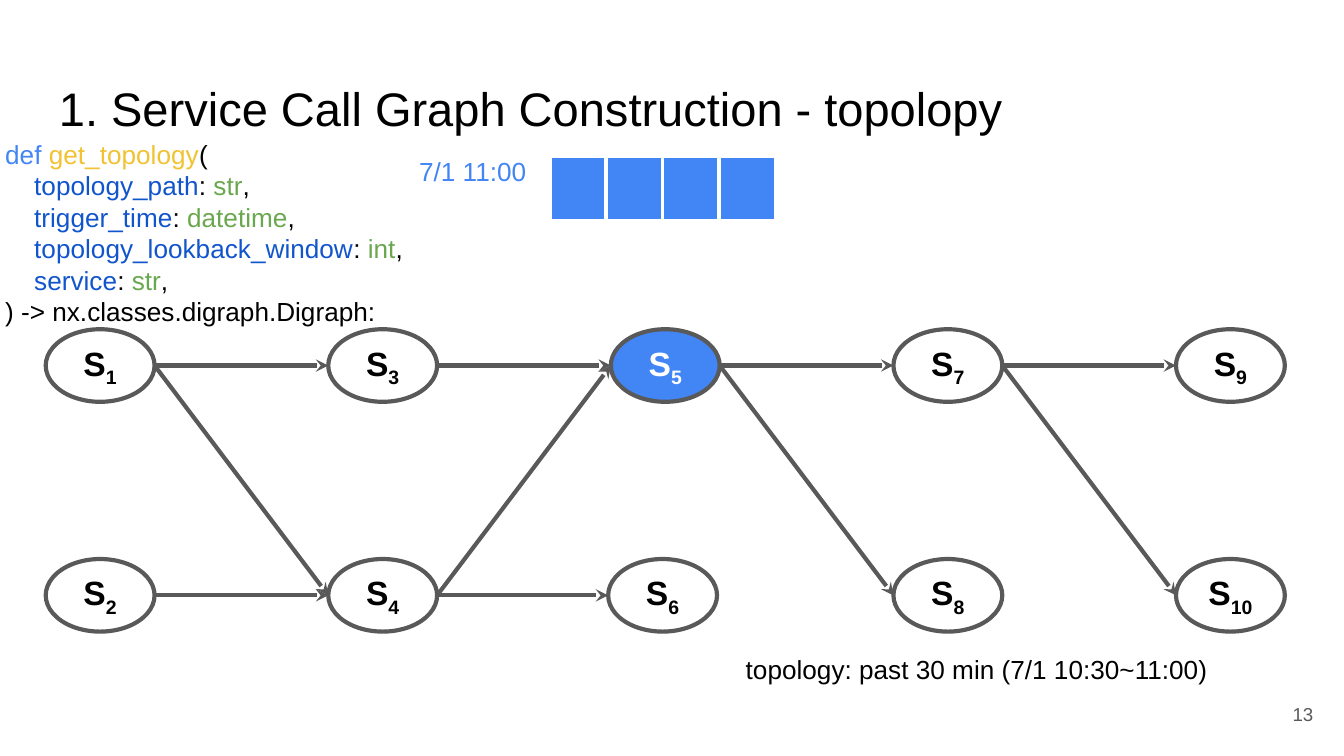
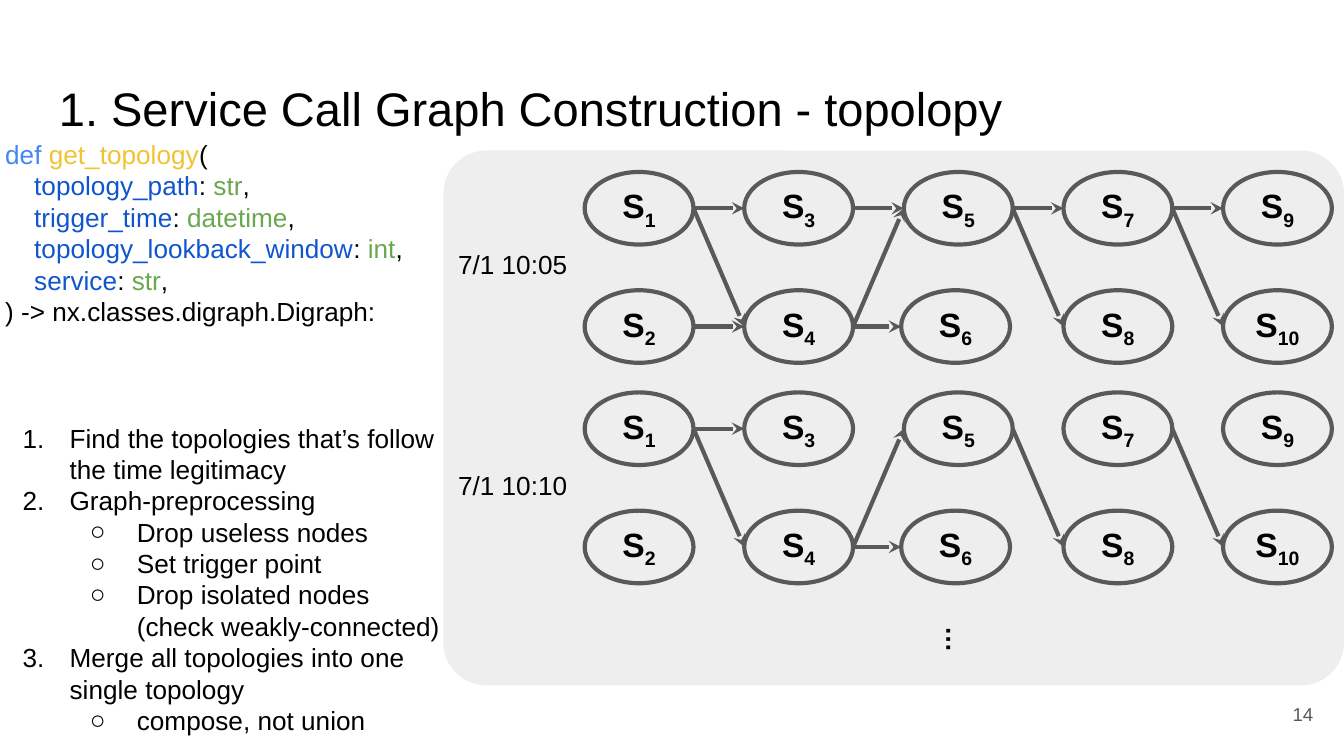
from lxml.etree import SubElement
from pptx import Presentation
from pptx.dml.color import RGBColor
from pptx.enum.shapes import MSO_CONNECTOR, MSO_SHAPE
from pptx.enum.text import MSO_ANCHOR, PP_ALIGN
from pptx.oxml.ns import qn
from pptx.util import Inches, Pt

# Grid of 100 columns by 56.25 rows; every length below counts its cells
COLS, ROWS = 100, 56.25
BLACK, WHITE, GRAY, PALE = "000000", "FFFFFF", "595959", "EEEEEE"
BLUE, NAVY, GOLD, GREEN = "4285F4", "1155CC", "F1C232", "6AA84F"
TITLE = "1. Service Call Graph Construction - topolopy"
ARGS = [("topology_path", "str"), ("trigger_time", "datetime"),
        ("topology_lookback_window", "int"), ("service", "str")]
STEPS = [(0, "Find the topologies that’s follow the time legitimacy"),
         (0, "Graph-preprocessing"),
         (1, "Drop useless nodes"),
         (1, "Set trigger point"),
         (1, "Drop isolated nodes (check weakly-connected)"),
         (0, "Merge all topologies into one single topology"),
         (1, "compose, not union")]
EDGES = [(1, 3), (3, 5), (5, 7), (7, 9), (2, 4), (4, 6),
         (1, 4), (5, 8), (7, 10), (4, 5)]
LOST = [(3, 5), (5, 7), (7, 9), (2, 4)]
NODE_W, NODE_H = 8.1, 5.4


def cell(count):
    return Inches(count / 10)


def place(box):
    return [cell(part) for part in box]


def tint(code):
    return RGBColor.from_string(code)


def style(item, **form):
    for name, value in form.items():
        setattr(item, name, value)


def frame(shape, anchor=MSO_ANCHOR.TOP):
    text = shape.text_frame
    style(text, word_wrap=True, vertical_anchor=anchor,
          **{f"margin_{side}": cell(1)
             for side in ("left", "right", "top", "bottom")})
    return text


def write(para, words, size=14, color=BLACK, bold=False):
    run = para.add_run()
    run.text = words
    style(run.font, name="Arial", size=Pt(size), bold=bold)
    run.font.color.rgb = tint(color)
    return run


def label(shapes, box, words, align=PP_ALIGN.LEFT,
          anchor=MSO_ANCHOR.TOP, **form):
    note = shapes.add_textbox(*place(box))
    para = frame(note, anchor).paragraphs[0]
    para.alignment = align
    write(para, words, **form)
    return note


def lines(text, count):
    return [text.paragraphs[0]] + [text.add_paragraph()
                                   for _ in range(count - 1)]


def indent(para, left, hang=0):
    props = para._p.get_or_add_pPr()
    props.set("marL", str(cell(left)))
    props.set("indent", str(cell(-hang)))
    return props


# Title and page number
def head(slide, page):
    label(slide.shapes, (3.4, 4.9, 93.2, 6.3), TITLE, size=25.2)
    label(slide.shapes, (92.7, 51, 6, 4.3), str(page), PP_ALIGN.RIGHT,
          MSO_ANCHOR.MIDDLE, size=10, color=GRAY)


# Function signature
def code(slide, box):
    text = frame(slide.shapes.add_textbox(*place(box)))
    first, *rest, last = lines(text, len(ARGS) + 2)
    for words, color in (("def ", BLUE), ("get_topology", GOLD), ("(", BLACK)):
        write(first, words, color=color)
    for para, (name, kind) in zip(rest, ARGS):
        indent(para, 2.16)
        for words, color in ((name, NAVY), (": ", BLACK),
                             (kind, GREEN), (",", BLACK)):
            write(para, words, color=color)
    write(last, ") -> nx.classes.digraph.Digraph:")


# Numbered steps with bulleted details
def steps(slide, box):
    text = frame(slide.shapes.add_textbox(*place(box)))
    for para, (level, words) in zip(lines(text, len(STEPS)), STEPS):
        para.level = level
        props = indent(para, 5 * (level + 1), 3.5)
        ink = SubElement(props, qn("a:buClr"))
        SubElement(ink, qn("a:srgbClr"), val=BLACK)
        SubElement(props, qn("a:buFont"), typeface="Arial")
        if level:
            SubElement(props, qn("a:buChar"), char="○")
        else:
            SubElement(props, qn("a:buAutoNum"), type="arabicPeriod")
        write(para, words)


def node(shapes, left, top, index, hot):
    oval = shapes.add_shape(MSO_SHAPE.OVAL,
                            *place((left, top, NODE_W, NODE_H)))
    oval.shadow.inherit = False
    if hot:
        oval.fill.solid()
        oval.fill.fore_color.rgb = tint(BLUE)
    else:
        oval.fill.background()
    oval.line.color.rgb = tint(GRAY)
    oval.line.width = Pt(2.25)
    para = frame(oval, MSO_ANCHOR.MIDDLE).paragraphs[0]
    para.alignment = PP_ALIGN.CENTER
    form = dict(size=18, color=WHITE if hot else BLACK, bold=True)
    write(para, "S", **form)
    sub = write(para, str(index), **form)
    sub._r.get_or_add_rPr().set("baseline", "-25000")


def arrow(shapes, start, end):
    link = shapes.add_connector(MSO_CONNECTOR.STRAIGHT, *place(start + end))
    link.line.color.rgb = tint(GRAY)
    link.line.width = Pt(2.25)
    SubElement(link.line._get_or_add_ln(), qn("a:tailEnd"), type="stealth")
    SubElement(link._element.spPr, qn("a:effectLst"))


# Service graph: odd nodes on the upper row, even ones on the lower
def graph(shapes, box, edges, hot=None):
    left, top, width, height = box
    step, drop = (width - NODE_W) / 4, height - NODE_H
    spots = {}
    for index in range(1, 11):
        col, row = divmod(index - 1, 2)
        nudge = 0.2 if index == 6 else 0
        spots[index] = (left + col * step - nudge, top + row * drop)
        node(shapes, *spots[index], index, index == hot)
    for tail, tip in edges:
        (x1, y1), (x2, y2) = spots[tail], spots[tip]
        arrow(shapes, (x1 + NODE_W, y1 + NODE_H / 2), (x2, y2 + NODE_H / 2))


# Row of time slots
def slots(slide, box, count):
    table = slide.shapes.add_table(1, count, *place(box)).table
    style(table, first_row=False, horz_banding=False)
    for slot in table.iter_cells():
        props = slot._tc.get_or_add_tcPr()
        for side in ("lnL", "lnR", "lnT", "lnB"):
            edge = SubElement(props, qn(f"a:{side}"), w=str(Pt(2.25)))
            fill = SubElement(edge, qn("a:solidFill"))
            SubElement(fill, qn("a:srgbClr"), val=WHITE)
        slot.fill.solid()
        slot.fill.fore_color.rgb = tint(BLUE)


# Rounded backdrop
def panel(slide, box):
    back = slide.shapes.add_shape(MSO_SHAPE.ROUNDED_RECTANGLE, *place(box))
    back.shadow.inherit = False
    back.adjustments[0] = 0.08
    back.fill.solid()
    back.fill.fore_color.rgb = tint(PALE)
    back.line.fill.background()


# Snapshot of the graph with its time
def snap(slide, box, time, edges):
    left, top, width, height = box
    group = slide.shapes.add_group_shape().shapes
    label(group, (left, top + 4.7, 10.8, 4.4), time)
    graph(group, (left + 10.4, top, width - 10.4, height), edges)


def merged(slide):
    head(slide, 13)
    graph(slide.shapes, (3.4, 24.5, 92.2, 22.5), EDGES, hot=5)
    slots(slide, (40.9, 11.6, 16.8, 4.8), 4)
    label(slide.shapes, (30.2, 10.6, 10.4, 4.4), "7/1 11:00", color=BLUE)
    label(slide.shapes, (54.5, 47.6, 40.5, 4.4),
          "topology: past 30 min (7/1 10:30~11:00)")
    code(slide, (-0.6, 9.3, 36.9, 16.2))


def series(slide):
    panel(slide, (33, 11.2, 67, 39.8))
    head(slide, 14)
    kept = [edge for edge in EDGES if edge not in LOST]
    snaps = [("7/1 10:05", EDGES), ("7/1 10:10", kept)]
    for turn, (time, edges) in enumerate(snaps):
        snap(slide, (33.1, 12.8 + 16.4 * turn, 66, 14.2), time, edges)
    label(slide.shapes, (69.1, 45.5, 4.1, 4.4), "…", bold=True).rotation = 90
    steps(slide, (-0.8, 30.4, 34.6, 25.6))
    code(slide, (-0.6, 9.3, 36.9, 16.2))


def main():
    deck = Presentation()
    style(deck, slide_width=cell(COLS), slide_height=cell(ROWS))
    for build in (merged, series):
        build(deck.slides.add_slide(deck.slide_layouts[6]))
    deck.save("out.pptx")


if __name__ == "__main__":
    main()
